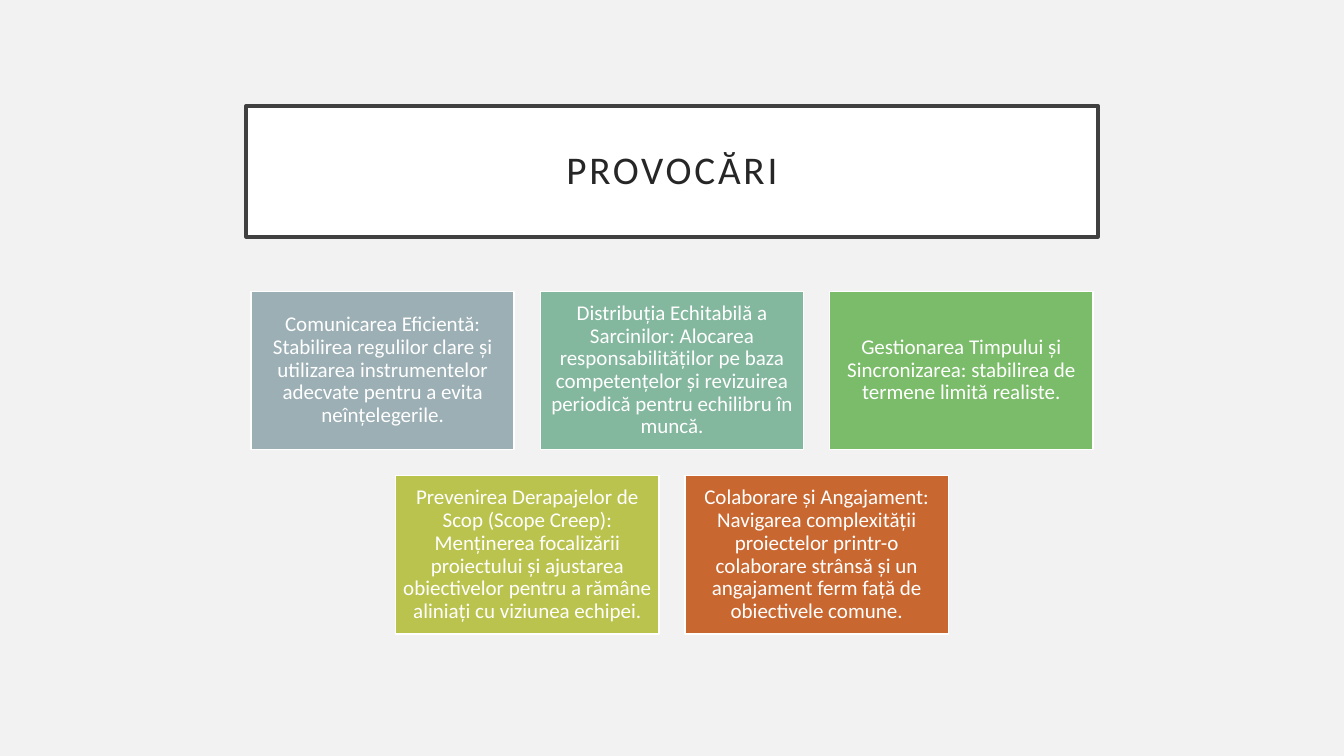
from pptx import Presentation
from pptx.dml.color import RGBColor
from pptx.enum.shapes import MSO_SHAPE
from pptx.enum.text import MSO_ANCHOR, MSO_AUTO_SIZE, PP_ALIGN
from pptx.util import Inches, Pt

# Style
FONT = "Calibri"
BACKGROUND = RGBColor(0xF2, 0xF2, 0xF2)
WHITE = RGBColor(0xFF, 0xFF, 0xFF)
FRAME = RGBColor(0x40, 0x40, 0x40)
INK = RGBColor(0x26, 0x26, 0x26)
GREY_BLUE = RGBColor(0x9B, 0xAF, 0xB5)
TEAL = RGBColor(0x83, 0xB7, 0x9E)
GREEN = RGBColor(0x7A, 0xBC, 0x69)
LIME = RGBColor(0xBA, 0xC3, 0x4D)
ORANGE = RGBColor(0xC9, 0x67, 0x31)

# Card grid, in inches
SLIDE_W, SLIDE_H = 13.33, 7.5
CARD_W, CARD_H = 2.61, 1.57
GAP = 0.26
CARDS_TOP = 2.89

CARD_ROWS = [
    [
        ("Comunicarea Eficientă: Stabilirea regulilor clare și utilizarea "
         "instrumentelor adecvate pentru a evita neînțelegerile.", GREY_BLUE),
        ("Distribuția Echitabilă a Sarcinilor: Alocarea responsabilităților "
         "pe baza competențelor și revizuirea periodică pentru echilibru în "
         "muncă.", TEAL),
        ("Gestionarea Timpului și Sincronizarea: stabilirea de termene "
         "limită realiste.", GREEN),
    ],
    [
        ("Prevenirea Derapajelor de Scop (Scope Creep): Menținerea "
         "focalizării proiectului și ajustarea obiectivelor pentru a rămâne "
         "aliniați cu viziunea echipei.", LIME),
        ("Colaborare și Angajament: Navigarea complexității proiectelor "
         "printr-o colaborare strânsă și un angajament ferm față de "
         "obiectivele comune.", ORANGE),
    ],
]


def write_text(sp, text, size, color, inset, spacing=0):
    """Fill a shape with one centred paragraph."""
    tf = sp.text_frame
    tf.word_wrap = True
    tf.auto_size = MSO_AUTO_SIZE.NONE
    tf.vertical_anchor = MSO_ANCHOR.MIDDLE
    tf.margin_left = tf.margin_right = Inches(inset)
    tf.margin_top = tf.margin_bottom = Inches(inset)
    p = tf.paragraphs[0]
    p.alignment = PP_ALIGN.CENTER
    p.line_spacing = 0.9
    r = p.add_run()
    r.text = text
    r.font.name = FONT
    r.font.size = Pt(size)
    r.font.color.rgb = color
    if spacing:
        r._r.get_or_add_rPr().set("spc", str(spacing * 100))


class SlideBuilder:
    def __init__(self, prs):
        self.s = prs.slides.add_slide(prs.slide_layouts[5])
        fill = self.s.background.fill
        fill.solid()
        fill.fore_color.rgb = BACKGROUND

    def paint(self, sp, fill, line, width):
        sp.fill.solid()
        sp.fill.fore_color.rgb = fill
        sp.line.color.rgb = line
        sp.line.width = Pt(width)

    def title(self, text, left, top, width, height):
        sp = self.s.shapes.title
        sp.left, sp.top = Inches(left), Inches(top)
        sp.width, sp.height = Inches(width), Inches(height)
        self.paint(sp, WHITE, FRAME, 2.5)
        write_text(sp, text, size=28, color=INK, inset=0.2, spacing=2)

    def card(self, text, fill, left, top):
        sp = self.s.shapes.add_shape(
            MSO_SHAPE.RECTANGLE, Inches(left), Inches(top),
            Inches(CARD_W), Inches(CARD_H))
        sp.shadow.inherit = False
        self.paint(sp, fill, WHITE, 1)
        write_text(sp, text, size=15, color=WHITE, inset=0.06)

    def card_row(self, cards, top):
        row_w = len(cards) * (CARD_W + GAP) - GAP
        left = (SLIDE_W - row_w) / 2
        for i, (text, fill) in enumerate(cards):
            self.card(text, fill, left + i * (CARD_W + GAP), top)


def main():
    prs = Presentation()
    prs.slide_width, prs.slide_height = Inches(SLIDE_W), Inches(SLIDE_H)
    builder = SlideBuilder(prs)

    # Title
    builder.title("PROVOCĂRI", 2.44, 1.05, 8.45, 1.3)

    # Centred rows of cards
    for i, cards in enumerate(CARD_ROWS):
        builder.card_row(cards, CARDS_TOP + i * (CARD_H + GAP))

    prs.save("out.pptx")


if __name__ == "__main__":
    main()
